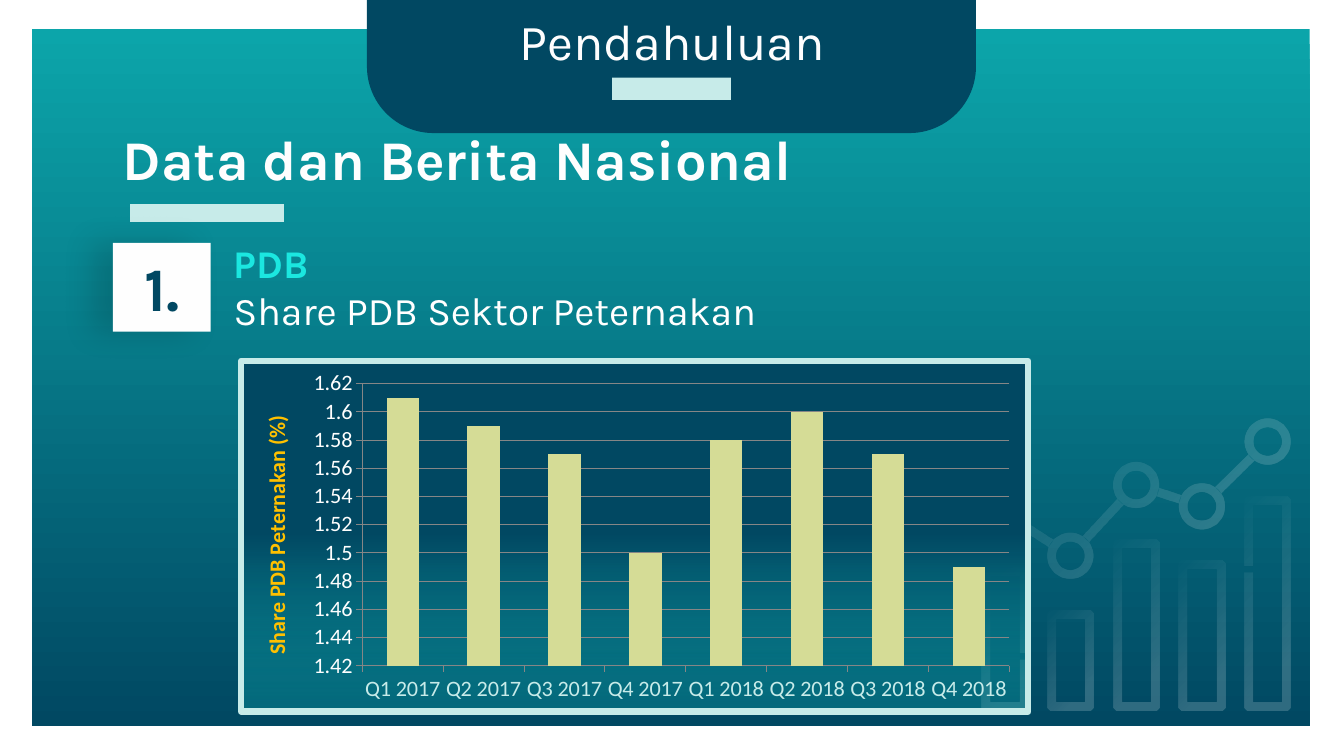
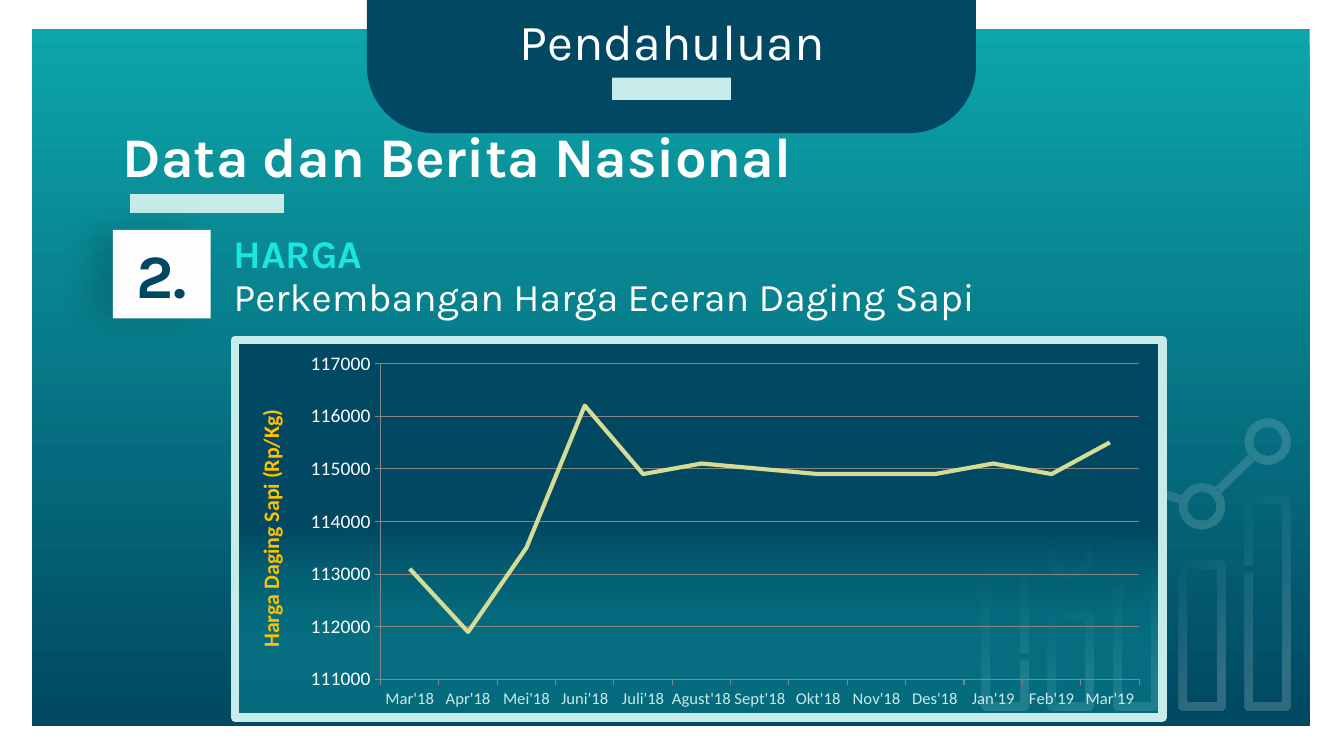
from math import atan2, cos, pi, sin, asin
from itertools import pairwise
from pptx import Presentation
from pptx.chart.data import CategoryChartData
from pptx.dml.color import RGBColor
from pptx.enum.chart import XL_CHART_TYPE
from pptx.enum.shapes import MSO_CONNECTOR, MSO_SHAPE
from pptx.enum.text import MSO_ANCHOR, MSO_AUTO_SIZE, PP_ALIGN
from pptx.oxml import parse_xml
from pptx.oxml.ns import nsdecls, qn
from pptx.util import Inches, Pt

COLUMN, LINE = XL_CHART_TYPE.COLUMN_CLUSTERED, XL_CHART_TYPE.LINE
RECT, TAB = MSO_SHAPE.RECTANGLE, MSO_SHAPE.ROUND_2_SAME_RECTANGLE
CENTER, MIDDLE, TOP = PP_ALIGN.CENTER, MSO_ANCHOR.MIDDLE, MSO_ANCHOR.TOP

NAVY, TEAL, MINT, CYAN = "014862", "0CA5AA", "C7EBE9", "1BE7E0"
WHITE, SOFT_WHITE, GOLD, LIME, GREY = "FFFFFF", "FEFEFE", "FFC000", "D5DC96", "868686"
FONT, CHART_FONT = "Karla", "Calibri"

TITLE, HEADING = "Pendahuluan", "Data dan Berita Nasional"
SLIDES = [
    dict(number="1.", label="PDB", subtitle="Share PDB Sektor Peternakan",
         heading_y=1.26, rule_y=2.11, badge_y=2.41, label_y=2.33, subtitle_y=2.79,
         chart=dict(kind=COLUMN, at=(2.36, 3.55, 7.87, 3.54), border=4.5,
                    plot_area=(1.21, 0.23, 6.47, 2.85), base_size=18,
                    axis_title="Share PDB Peternakan (%)", scale=(1.42, 1.62, 0.02),
                    cat_size=16, val_size=16,
                    cats=[f"Q{q} {y}" for y in (2017, 2018) for q in (1, 2, 3, 4)],
                    vals=[1.61, 1.59, 1.57, 1.5, 1.58, 1.6, 1.57, 1.49])),
    dict(number="2.", label="HARGA", subtitle="Perkembangan Harga Eceran Daging Sapi",
         heading_y=1.23, rule_y=2.02, badge_y=2.28, label_y=2.23, subtitle_y=2.65,
         chart=dict(kind=LINE, at=(2.29, 3.33, 9.28, 3.83), border=6,
                    plot_area=(1.46, 0.24, 7.59, 3.2), base_size=16,
                    axis_title="Harga Daging Sapi (Rp/Kg)", scale=(111000, 117000, 1000),
                    cat_size=12, val_size=14,
                    cats=["Mar'18", "Apr'18", "Mei'18", "Juni'18", "Juli'18", "Agust'18",
                          "Sept'18", "Okt'18", "Nov'18", "Des'18", "Jan'19", "Feb'19",
                          "Mar'19"],
                    vals=[113100, 111900, 113500, 116200, 114900, 115100, 115000, 114900,
                          114900, 114900, 115100, 114900, 115500])),
]

BAR_X, BAR_STEP, BAR_W, BAR_BOTTOM, BAR_EDGE = 9.74, 0.65, 0.46, 7.05, 0.09
BAR_TOPS = [5.63, 6.06, 5.35, 5.56, 4.93]
BAR_GAPS = {0: (BAR_W - BAR_EDGE, 6.48), 4: (0, 5.62)}
NODE_YS = [5.09, 5.51, 4.81, 5.02, 4.38]
NODE_R, NODE_HOLE, LINK_W, GAP_H, CORNER = 0.23, 0.14, 0.09, 0.06, 0.03


def rgb(color):
    return RGBColor.from_string(color)


def inches(values):
    return [Inches(v) for v in values]


def gradient(stops, angle):
    gs = "".join(
        f'<a:gs pos="{pos * 1000}"><a:srgbClr val="{color}">'
        f'<a:alpha val="{alpha * 1000}"/></a:srgbClr></a:gs>'
        for pos, color, alpha in stops)
    return parse_xml(f'<a:gradFill {nsdecls("a")} rotWithShape="1"><a:gsLst>{gs}</a:gsLst>'
                     f'<a:lin ang="{angle * 60000}" scaled="0"/></a:gradFill>')


def paint(shape, fill):
    shape.shadow.inherit = False
    shape.line.fill.background()
    if isinstance(fill, str):
        shape.fill.solid()
        shape.fill.fore_color.rgb = rgb(fill)
    else:
        shape.fill.background()
        sp_pr = shape.element.spPr
        sp_pr.replace(sp_pr.find(qn("a:noFill")), fill)
    return shape


def add_block(s, at, fill, preset=RECT):
    return paint(s.shapes.add_shape(preset, *inches(at)), fill)


def write(tf, text, size, color, bold=False, align=None, spacing=None, anchor=TOP):
    tf.word_wrap = True
    tf.vertical_anchor = anchor
    p = tf.paragraphs[0]
    p.alignment, p.line_spacing = align, spacing
    r = p.add_run()
    r.text = text
    r.font.name, r.font.size, r.font.bold = FONT, Pt(size), bold
    r.font.color.rgb = rgb(color)


def add_text(s, at, text, size, color, grow=False, **style):
    tf = s.shapes.add_textbox(*inches(at)).text_frame
    write(tf, text, size, color, **style)
    tf.auto_size = MSO_AUTO_SIZE.SHAPE_TO_FIT_TEXT if grow else MSO_AUTO_SIZE.NONE


def box(left, top, right, bottom):
    return [(left, top), (right, top), (right, bottom), (left, bottom)]


def cut_box(left, top, right, bottom):
    c = CORNER
    return [(left, top + c), (left + c, top), (right - c, top), (right, top + c),
            (right, bottom - c), (right - c, bottom), (left + c, bottom), (left, bottom - c)]


def diamond(x, y, radius):
    return [(x + radius, y), (x, y + radius), (x - radius, y), (x, y - radius)]


def link(a, b):
    angle = atan2(b[1] - a[1], b[0] - a[0])
    half = asin(LINK_W / 2 / NODE_R)
    return [(x + NODE_R * cos(t), y + NODE_R * sin(t))
            for (x, y), t in ((a, angle - half), (a, angle + half),
                              (b, angle + pi - half), (b, angle + pi + half))]


def round_off(path, radii):
    for move, radius in zip(path.findall(qn("a:moveTo")), radii):
        while move.getnext().tag == qn("a:lnTo"):
            path.remove(move.getnext())
        for start in (180, 0):
            move.addnext(parse_xml(
                f'<a:arcTo {nsdecls("a")} wR="{Inches(radius)}" hR="{Inches(radius)}" '
                f'stAng="{start * 60000}" swAng="10800000"/>'))


def add_outline(s, contours, radii=()):
    outlines = [[inches(pt) for pt in contour] for contour in contours]
    fb = s.shapes.build_freeform(*outlines[0][0])
    for i, (first, *rest) in enumerate(outlines):
        if i:
            fb.move_to(*first)
        fb.add_line_segments(rest, close=True)
    shape = paint(fb.convert_to_shape(), gradient([(0, WHITE, 0), (80, WHITE, 18)], 45))
    round_off(shape.element.find(".//" + qn("a:path")), radii)


def add_backdrop(s, layout):
    add_block(s, (0.32, 0.29, 12.67, 6.91), gradient([(0, TEAL, 100), (100, NAVY, 100)], 90))
    nodes = []
    for i, (top, node_y) in enumerate(zip(BAR_TOPS, NODE_YS)):
        x = BAR_X + i * BAR_STEP
        contours = [cut_box(x, top, x + BAR_W, BAR_BOTTOM),
                    box(x + BAR_EDGE, top + BAR_EDGE, x + BAR_W - BAR_EDGE,
                        BAR_BOTTOM - BAR_EDGE)]
        if i in BAR_GAPS:
            dx, y = BAR_GAPS[i]
            contours.append(box(x + dx, y, x + dx + BAR_EDGE, y + GAP_H))
        add_outline(s, contours)
        nodes.append((x + BAR_W / 2, node_y))
    radii = [NODE_R, NODE_HOLE] * len(nodes)
    rings = [diamond(*node, r) for node in nodes for r in (NODE_R, NODE_HOLE)]
    add_outline(s, rings + [link(a, b) for a, b in pairwise(nodes)], radii)
    tab = add_block(s, (3.64, 0, 6.04, 1.32), NAVY, TAB)
    tab.adjustments[0], tab.adjustments[1] = 0, 0.5
    for shape in list(s.shapes):
        if not shape.is_placeholder:
            layout.shapes.element.append(shape.element)


def add_rule(s, y):
    cx = s.shapes.add_connector(MSO_CONNECTOR.STRAIGHT, *inches((1.29, y, 2.82, y)))
    cx.line.color.rgb, cx.line.width = rgb(MINT), Pt(13)
    cx.element.spPr.append(parse_xml(f'<a:effectLst {nsdecls("a")}/>'))


def add_badge(s, y, number):
    badge = add_block(s, (1.12, y, 0.97, 0.88), SOFT_WHITE)
    badge.element.spPr.find(qn("a:effectLst")).append(parse_xml(
        f'<a:outerShdw {nsdecls("a")} blurRad="{Pt(22.5)}" dist="{Pt(15)}" dir="10800000" '
        'algn="ctr" rotWithShape="0"><a:srgbClr val="000000"><a:alpha val="15000"/>'
        '</a:srgbClr></a:outerShdw>'))
    tf = badge.text_frame
    tf.margin_left = tf.margin_right = tf.margin_top = tf.margin_bottom = Inches(0.1)
    write(tf, number, 44, NAVY, bold=True, align=CENTER, anchor=MIDDLE)


def style_axis(axis, size, color):
    axis.tick_labels.font.size = Pt(size)
    axis.tick_labels.font.color.rgb = rgb(color)
    axis.format.line.color.rgb = rgb(GREY)


def frame_chart(chart, border):
    cs = chart.element
    sp_pr = parse_xml(f'<c:spPr {nsdecls("c", "a")}><a:ln w="{Pt(border)}"><a:solidFill>'
                      f'<a:srgbClr val="{MINT}"/></a:solidFill><a:round/></a:ln></c:spPr>')
    sp_pr.insert(0, gradient([(49, NAVY, 100), (100, TEAL, 33)], 90))
    cs.find(qn("c:chart")).addnext(sp_pr)
    if cs.find(qn("c:roundedCorners")) is None:
        cs.find(qn("c:date1904")).addnext(
            parse_xml(f'<c:roundedCorners {nsdecls("c")} val="0"/>'))


def place_plot(chart, plot_area, width, height):
    area = chart.element.find(".//" + qn("c:plotArea"))
    old = area.find(qn("c:layout"))
    if old is not None:
        area.remove(old)
    shares = [v / full for v, full in zip(plot_area, (width, height) * 2)]
    sizes = "".join(f'<c:{k} val="{v:.3f}"/>' for k, v in zip("xywh", shares))
    area.insert(0, parse_xml(
        f'<c:layout {nsdecls("c")}><c:manualLayout><c:layoutTarget val="inner"/>'
        f'<c:xMode val="edge"/><c:yMode val="edge"/>{sizes}</c:manualLayout></c:layout>'))


def add_chart(s, kind, at, border, plot_area, base_size, axis_title, scale,
              cat_size, val_size, cats, vals):
    data = CategoryChartData()
    data.categories = cats
    data.add_series("Series 1", vals)
    chart = s.shapes.add_chart(kind, *inches(at), data).chart
    chart.has_title = chart.has_legend = False
    chart.font.name, chart.font.size = CHART_FONT, Pt(base_size)
    frame_chart(chart, border)
    place_plot(chart, plot_area, *at[2:])

    style_axis(chart.category_axis, cat_size, MINT)
    axis = chart.value_axis
    style_axis(axis, val_size, SOFT_WHITE)
    axis.minimum_scale, axis.maximum_scale, axis.major_unit = scale
    axis.has_major_gridlines = True
    axis.major_gridlines.format.line.color.rgb = rgb(GREY)
    r = axis.axis_title.text_frame.paragraphs[0].add_run()
    r.text = axis_title
    r.font.name, r.font.size, r.font.bold = CHART_FONT, Pt(16), True
    r.font.color.rgb = rgb(GOLD)
    body = axis.axis_title.element.find(".//" + qn("a:bodyPr"))
    body.set("rot", "-5400000")
    body.set("vert", "horz")

    plot = chart.plots[0]
    plot.vary_by_categories = False
    series = plot.series[0]
    if kind == LINE:
        series.smooth = False
        series.format.line.color.rgb, series.format.line.width = rgb(LIME), Pt(3)
    else:
        plot.gap_width = 150
        series.format.fill.solid()
        series.format.fill.fore_color.rgb = rgb(LIME)


def add_content(s, c):
    title = s.shapes.title
    title.left, title.top, title.width, title.height = inches((0.92, 0.11, 11.5, 0.65))
    title.text_frame.auto_size = MSO_AUTO_SIZE.NONE
    write(title.text_frame, TITLE, 36, SOFT_WHITE, align=CENTER, spacing=0.9, anchor=MIDDLE)
    add_block(s, (6.07, 0.77, 1.18, 0.22), MINT)
    add_text(s, (1.12, c["heading_y"], 7.91, 1.01), HEADING, 40, SOFT_WHITE,
             bold=True, spacing=0.9)
    add_rule(s, c["rule_y"])
    add_badge(s, c["badge_y"], c["number"])
    add_text(s, (2.22, c["label_y"], 5.06, 0.57), c["label"], 28, CYAN, grow=True, bold=True)
    add_text(s, (2.22, c["subtitle_y"], 8.77, 0.57), c["subtitle"], 28, WHITE, grow=True)
    add_chart(s, **c["chart"])


def main():
    prs = Presentation()
    prs.slide_width, prs.slide_height = inches((13.33, 7.5))
    layout = prs.slide_layouts[5]
    slides = [prs.slides.add_slide(layout) for _ in SLIDES]
    add_backdrop(slides[0], layout)
    for s, c in zip(slides, SLIDES):
        add_content(s, c)
    prs.save("out.pptx")


if __name__ == "__main__":
    main()
